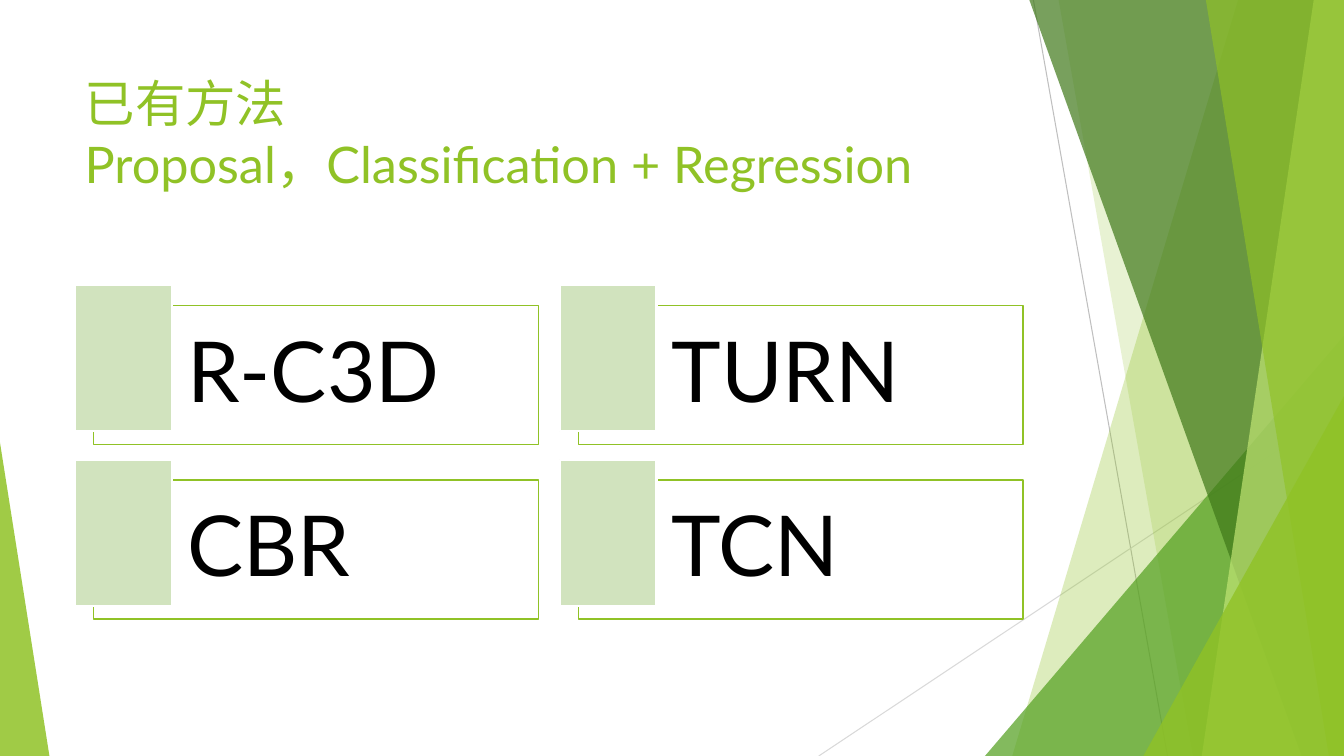
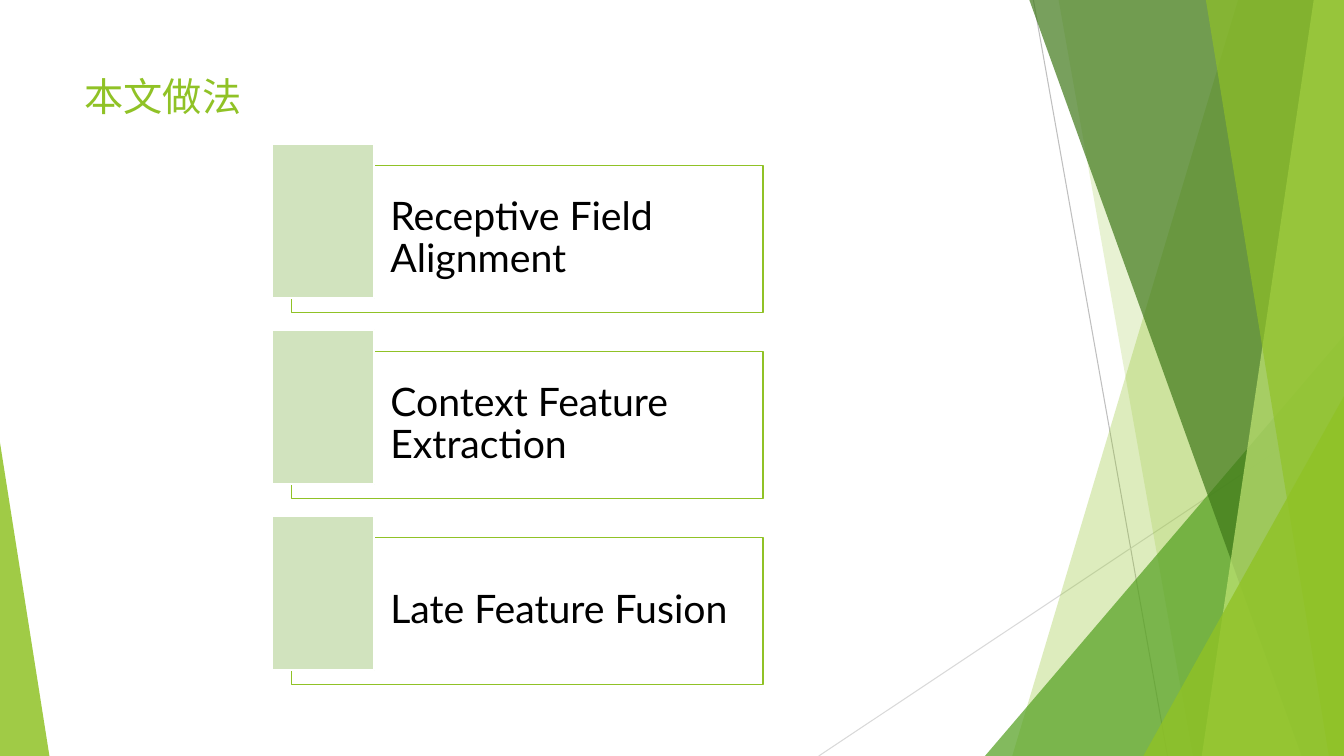
import lxml.etree
import pptx
import pptx.dml.color
import pptx.enum.shapes
import pptx.enum.text
import pptx.oxml.ns
import pptx.util

COLORS = {
    "lime": "90C226",
    "leaf": "54A021",
    "forest": "3F7819",
    "pale": "C0E474",
    "accent": "D1E3BE",
    "white": "FFFFFF",
    "black": "000000",
    "grey": "BFBFBF",
    "silver": "D9D9D9",
}
FONT = "Lato"
TITLE_ONLY = 5
PRESETS = pptx.enum.shapes.MSO_SHAPE


def color(name):
    return pptx.dml.color.RGBColor.from_string(COLORS[name])


class FacetDeck:
    """Draw styled pages on a grid of 100 columns by 100 rows."""

    def __init__(self):
        self.deck = pptx.Presentation()
        self.deck.slide_width = pptx.util.Inches(13.33)
        self.deck.slide_height = pptx.util.Inches(7.5)
        self.layout = self.deck.slide_layouts[TITLE_ONLY]
        self.page = None
        self.shapes = None

    def column(self, count):
        return round(self.deck.slide_width * count / 100)

    def row(self, count):
        return round(self.deck.slide_height * count / 100)

    def frame(self, left, top, width, height):
        return self.column(left), self.row(top), self.column(width), self.row(height)

    def open_page(self, title_lines, size, height):
        self.page = self.deck.slides.add_slide(self.layout)
        if len(self.deck.slides) == 1:
            self.backdrop()
        self.shapes = self.page.shapes
        self.title(title_lines, size, height)

    def title(self, lines, size, height):
        box = self.page.shapes.title
        box.left, box.top, box.width, box.height = self.frame(5.55, 8.93, 70.52, height)
        box.text_frame.auto_size = pptx.enum.text.MSO_AUTO_SIZE.NONE
        box.text_frame.vertical_anchor = pptx.enum.text.MSO_ANCHOR.TOP
        para = box.text_frame.paragraphs[0]
        para.alignment = pptx.enum.text.PP_ALIGN.LEFT
        for index, line in enumerate(lines):
            if index:
                para.add_line_break()
            self.span(para, line, size, "lime")

    def span(self, para, text, size, name):
        span = para.add_run()
        span.text = text
        span.font.name = FONT
        span.font.size = pptx.util.Pt(size)
        span.font.color.rgb = color(name)

    def paint(self, shape, name, opacity=100, line=None, weight=1):
        shape.shadow.inherit = False
        shape.fill.solid()
        shape.fill.fore_color.rgb = color(name)
        if opacity < 100:
            tint = next(shape.element.iter(pptx.oxml.ns.qn("a:srgbClr")))
            alpha = lxml.etree.SubElement(tint, pptx.oxml.ns.qn("a:alpha"))
            alpha.set("val", str(opacity * 1000))
        if line:
            shape.line.color.rgb = color(line)
            shape.line.width = pptx.util.Pt(weight)
        else:
            shape.line.fill.background()

    def rectangle(self, frame, *style):
        box = self.shapes.add_shape(PRESETS.RECTANGLE, *self.frame(*frame))
        self.paint(box, *style)
        return box

    def triangle(self, left, top, width, apex, name, opacity):
        frame = self.frame(left, top, width, 100 - top)
        shape = self.shapes.add_shape(PRESETS.ISOSCELES_TRIANGLE, *frame)
        shape.adjustments[0] = apex
        self.paint(shape, name, opacity)

    def facet(self, upper, lower, name, opacity):
        corners = [(upper, 0), (100, 0), (100, 100), (lower, 100)]
        points = [(self.column(x), self.row(y)) for x, y in corners]
        builder = self.shapes.build_freeform(*points[0])
        builder.add_line_segments(points[1:], close=True)
        self.paint(builder.convert_to_shape(), name, opacity)

    def line(self, start, end, name):
        x1, y1, x2, y2 = self.frame(*start, *end)
        line = self.shapes.add_connector(
            pptx.enum.shapes.MSO_CONNECTOR.STRAIGHT, x1, y1, x2, y2)
        line.line.color.rgb = color(name)
        line.line.width = pptx.util.Pt(0.75)
        properties = line.element.find(pptx.oxml.ns.qn("p:spPr"))
        lxml.etree.SubElement(properties, pptx.oxml.ns.qn("a:effectLst"))

    def backdrop(self):
        group = self.page.shapes.add_group_shape()
        self.shapes = group.shapes
        self.line((76.89, 0), (86.87, 100), "grey")
        self.line((100, 53.73), (60.92, 100), "silver")
        self.facet(92.12, 75.32, "lime", 30)
        self.facet(78.77, 88.75, "lime", 20)
        self.triangle(73.29, 44.4, 26.71, 1, "leaf", 72)
        self.facet(76.59, 96.85, "forest", 70)
        self.facet(97.75, 89.42, "pale", 70)
        self.facet(89.72, 98.87, "lime", 65)
        self.triangle(85.07, 52.4, 14.93, 1, "lime", 80)
        self.triangle(0, 58.53, 3.68, 0, "lime", 85)
        self.layout.shapes.element.insert(2, group.element)

    def card(self, left, top, width, height, text, size, inset):
        box = self.rectangle((left, top, width, height), "white", 40, "lime", 1)
        body = box.text_frame
        body.word_wrap = True
        body.vertical_anchor = pptx.enum.text.MSO_ANCHOR.MIDDLE
        body.margin_left = self.column(width * 0.21)
        body.margin_right = body.margin_top = body.margin_bottom = pptx.util.Inches(inset)
        para = body.paragraphs[0]
        para.alignment = pptx.enum.text.PP_ALIGN.LEFT
        para.line_spacing = 0.9
        self.span(para, text, size, "black")
        tab = (left - width * 0.042, top - height * 0.145, width * 0.218, height * 1.05)
        self.rectangle(tab, "accent", 100, "white", 1.5)

    def cards(self, texts, first, steps, columns, size, inset):
        left, top, width, height = first
        across, down = steps
        for index, text in enumerate(texts):
            line, place = divmod(index, columns)
            self.card(left + place * across, top + line * down,
                      width, height, text, size, inset)

    def save(self):
        self.deck.save("out.pptx")


def main():
    show = FacetDeck()
    show.open_page(["已有方法", "Proposal，Classification + Regression"], 36, 19.2)
    show.cards(["R-C3D", "TURN", "CBR", "TCN"],
               (6.98, 40.4, 33.08, 18.4), (36.05, 23.07), 2, 60, 0.25)
    show.open_page(["本文做法"], 28, 7.87)
    show.cards(["Receptive Field Alignment", "Context Feature Extraction", "Late Feature Fusion"],
               (21.68, 21.87, 35.11, 19.47), (0, 24.6), 1, 28, 0.12)
    show.save()


if __name__ == "__main__":
    main()
